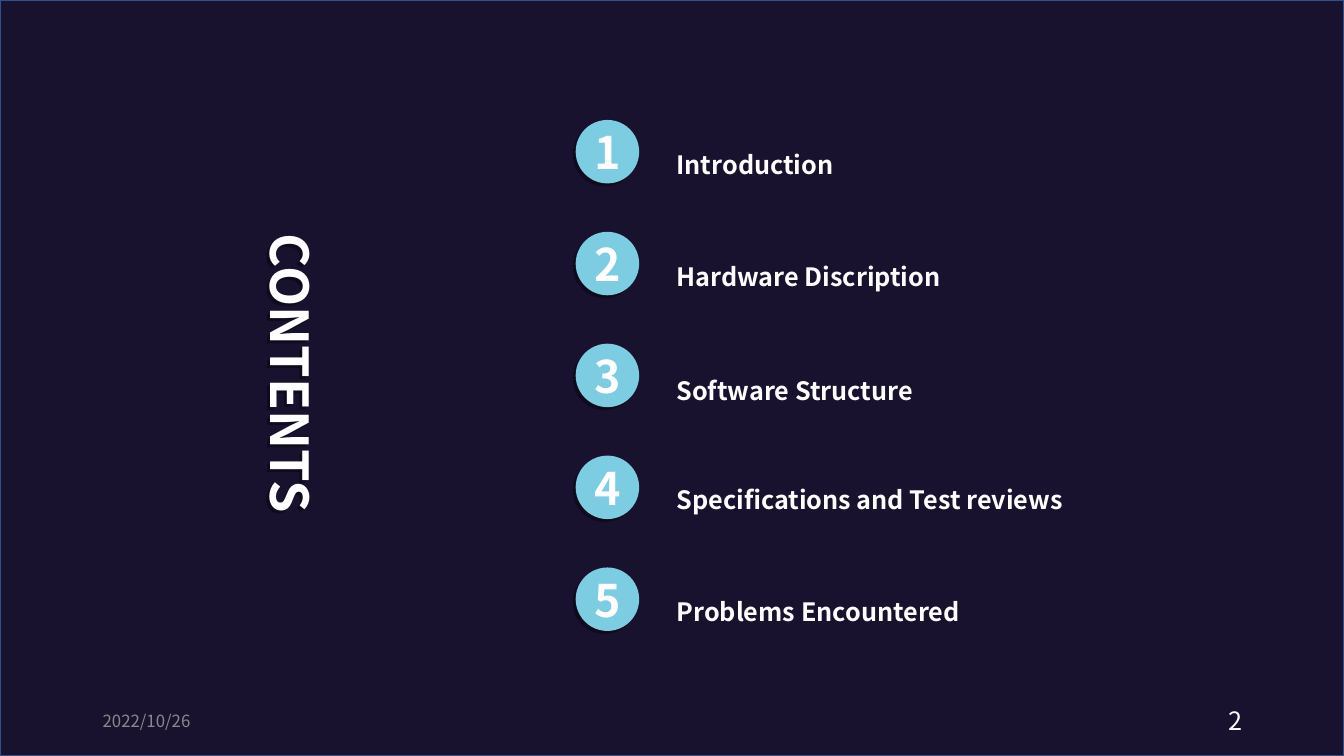
from dataclasses import dataclass

from lxml.etree import SubElement
from pptx import Presentation
from pptx.dml.color import RGBColor
from pptx.enum.shapes import MSO_SHAPE
from pptx.enum.text import MSO_ANCHOR, MSO_AUTO_SIZE, PP_ALIGN
from pptx.oxml.ns import qn
from pptx.util import Emu, Pt

EMU_PER_PX = 9144  # 100 px to the inch
FONT = "Noto Sans CJK SC"
WHITE = "FFFFFF"
BADGE_LEFT, BADGE_TOP, BADGE_SIZE, BADGE_STEP = 571, 119, 63, 111
TOPIC_LINE = 36  # points


@dataclass(frozen=True)
class Topic:
    label: str
    gap: float  # points above the line


@dataclass(frozen=True)
class FooterItem:
    text: str
    left: int
    size: int
    color: str
    align: PP_ALIGN


TOPICS = [
    Topic("Introduction", 0),
    Topic("Hardware Discription", 44),
    Topic("Software Structure", 45.5),
    Topic("Specifications and Test reviews", 42),
    Topic("Problems Encountered", 44),
]

FOOTER = [
    FooterItem("2022/10/26", 92, 12, "898989", PP_ALIGN.LEFT),
    FooterItem("2", 942, 18, WHITE, PP_ALIGN.RIGHT),
]


def px(length: int) -> Emu:
    return Emu(length * EMU_PER_PX)


def rgb(color: str) -> RGBColor:
    return RGBColor.from_string(color)


def place(shape, left: int, top: int, width: int, height: int) -> None:
    shape.left, shape.top = px(left), px(top)
    shape.width, shape.height = px(width), px(height)


def format_para(para, size: float, color: str = WHITE, bold: bool = False,
                align: PP_ALIGN = PP_ALIGN.LEFT) -> None:
    para.alignment = align
    for span in para.runs:
        span.font.name = FONT
        span.font.size = Pt(size)
        span.font.bold = bold
        span.font.color.rgb = rgb(color)


def add_shadow(shape) -> None:
    shape.shadow.inherit = False
    effects = shape.element.spPr.find(qn("a:effectLst"))
    shadow = SubElement(effects, qn("a:outerShdw"), blurRad="0",
                        dist=str(Pt(3)), dir="8100000", algn="tr", rotWithShape="0")
    black = SubElement(shadow, qn("a:srgbClr"), val="000000")
    SubElement(black, qn("a:alpha"), val="40000")


def add_backdrop(page) -> None:
    backdrop = page.shapes.add_shape(MSO_SHAPE.RECTANGLE, 0, 0, px(1333), px(750))
    backdrop.shadow.inherit = False
    backdrop.fill.solid()
    backdrop.fill.fore_color.rgb = rgb("19122F")
    backdrop.line.color.rgb = rgb("2F528F")
    backdrop.line.width = Pt(1)
    page.shapes.element.insert(2, backdrop.element)  # behind the placeholders


def fill_title(page) -> None:
    title = page.shapes.title
    place(title, 132, 342, 313, 73)
    title.rotation = 90
    frame = title.text_frame
    frame.text = "CONTENTS"
    frame.word_wrap = False
    frame.auto_size = MSO_AUTO_SIZE.NONE
    frame.vertical_anchor = MSO_ANCHOR.TOP
    format_para(frame.paragraphs[0], 37.3, bold=True)
    add_shadow(title)


def fill_topics(page) -> None:
    body = page.placeholders[1]
    place(body, 661, 128, 519, 500)
    frame = body.text_frame
    frame.text = "\n".join(topic.label for topic in TOPICS)
    frame.word_wrap = True
    frame.auto_size = MSO_AUTO_SIZE.NONE
    frame.vertical_anchor = MSO_ANCHOR.TOP
    frame.margin_top = frame.margin_bottom = 0
    for para, topic in zip(frame.paragraphs, TOPICS):
        format_para(para, 18, bold=True)
        para.line_spacing = Pt(TOPIC_LINE)
        para.space_before = Pt(topic.gap)
        properties = para._p.get_or_add_pPr()
        properties.set("marL", "0")
        properties.set("indent", "0")
        SubElement(properties, qn("a:buNone"))


def add_badge(page, number: int) -> None:
    top = BADGE_TOP + (number - 1) * BADGE_STEP
    badge = page.shapes.add_shape(MSO_SHAPE.OVAL, px(BADGE_LEFT), px(top),
                                  px(BADGE_SIZE), px(BADGE_SIZE))
    badge.fill.solid()
    badge.fill.fore_color.rgb = rgb("7CCCE2")
    badge.line.fill.background()
    add_shadow(badge)
    frame = badge.text_frame
    frame.text = str(number)
    frame.margin_left = frame.margin_right = 0
    frame.margin_top = frame.margin_bottom = 0
    frame.vertical_anchor = MSO_ANCHOR.MIDDLE
    format_para(frame.paragraphs[0], 32, bold=True, align=PP_ALIGN.CENTER)


def add_footer_item(page, item: FooterItem) -> None:
    box = page.shapes.add_textbox(px(item.left), px(695), px(300), px(40))
    frame = box.text_frame
    frame.text = item.text
    frame.word_wrap = True
    frame.vertical_anchor = MSO_ANCHOR.MIDDLE
    format_para(frame.paragraphs[0], item.size, item.color, align=item.align)


def main() -> None:
    deck = Presentation()
    deck.slide_width, deck.slide_height = px(1333), px(750)
    page = deck.slides.add_slide(deck.slide_layouts[1])

    # Background, heading and topic list
    add_backdrop(page)
    fill_title(page)
    fill_topics(page)

    # Numbered badges
    for number in range(1, len(TOPICS) + 1):
        add_badge(page, number)

    # Date and page number
    for item in FOOTER:
        add_footer_item(page, item)

    deck.save("out.pptx")


if __name__ == "__main__":
    main()
